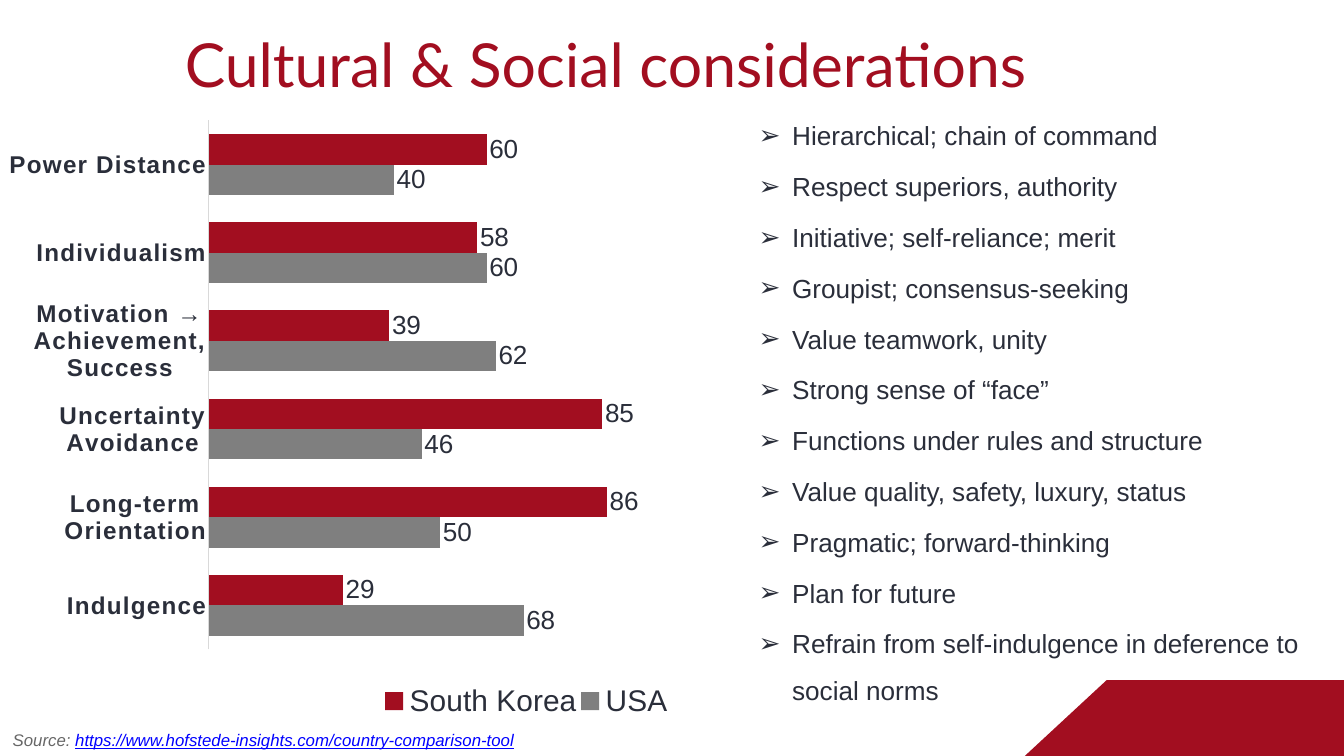
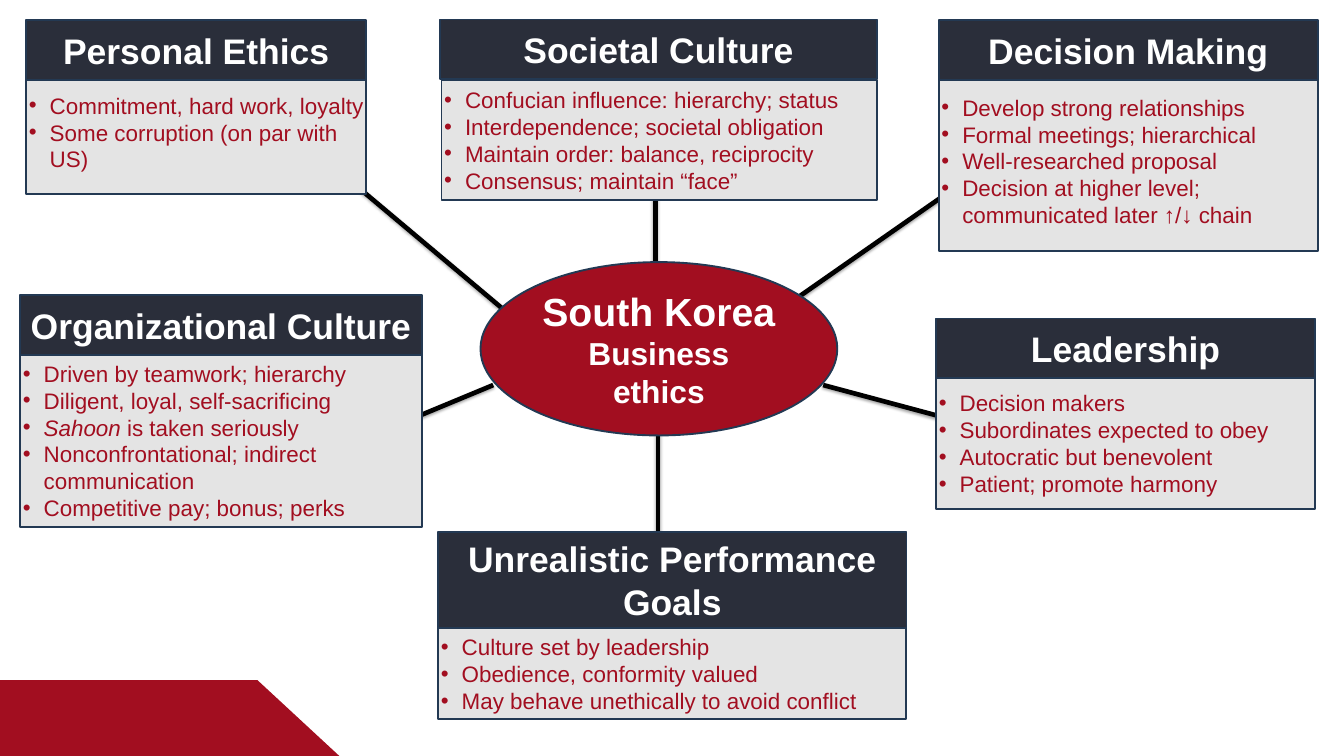
import lxml.etree
import pptx
import pptx.chart.data
import pptx.dml.color
import pptx.enum.chart
import pptx.enum.shapes
import pptx.enum.text
import pptx.oxml
import pptx.oxml.ns
import pptx.util

Inches = pptx.util.Inches
Pt = pptx.util.Pt
qn = pptx.oxml.ns.qn
RGB = pptx.dml.color.RGBColor.from_string


class Theme:
    red = RGB("A20E20")
    navy = RGB("2A2E3A")
    outline = RGB("233953")
    light = RGB("E4E4E4")
    gray = RGB("7F7F7F")
    axis = RGB("D9D9D9")
    link = RGB("0000FF")
    black = RGB("000000")
    white = RGB("FFFFFF")
    body_font = "Arial"
    title_font = "Lato"
    title_size = 65
    hub_size = 42
    hub_detail_size = 34
    header_size = 38
    legend_size = 32
    body_size = 28
    category_size = 26
    panel_size = 24
    source_size = 18


def write_text(shape, paragraphs, *, size, color, font=Theme.body_font, bold=None,
               align=None, anchor="TOP", margins=(0.1, 0.05), wrap=True, fit=False,
               bullet=None, indent=0, hanging=0, level=0, line_spacing=None, after=None):
    """Fill a shape; a paragraph is a string or a list of (text, run overrides)."""
    frame = shape.text_frame
    frame.word_wrap = wrap
    frame.vertical_anchor = getattr(pptx.enum.text.MSO_ANCHOR, anchor)
    frame.margin_left = frame.margin_right = Inches(margins[0])
    frame.margin_top = frame.margin_bottom = Inches(margins[1])
    if fit:
        frame.auto_size = pptx.enum.text.MSO_AUTO_SIZE.SHAPE_TO_FIT_TEXT
    for index, content in enumerate(paragraphs):
        paragraph = frame.add_paragraph() if index else frame.paragraphs[0]
        paragraph.level = level
        paragraph.alignment = align or pptx.enum.text.PP_ALIGN.LEFT
        if bullet:
            properties = paragraph._p.get_or_add_pPr()
            properties.set("marL", str(Inches(indent)))
            properties.set("indent", str(-Inches(hanging)))
            lxml.etree.SubElement(properties, qn("a:buFont")).set("typeface", Theme.body_font)
            lxml.etree.SubElement(properties, qn("a:buChar")).set("char", bullet)
        if line_spacing:
            paragraph.line_spacing = line_spacing
        if after:
            paragraph.space_after = Pt(after)
        for text, changes in [(content, {})] if isinstance(content, str) else content:
            run = paragraph.add_run()
            run.text = text
            run.font.name = font
            run.font.size = Pt(changes.get("size", size))
            run.font.bold = changes.get("bold", bold)
            run.font.italic = changes.get("italic")
            run.font.underline = changes.get("underline")
            run.font.color.rgb = changes.get("color", color)
            if "alpha" in changes:
                color_element = run._r.xpath(".//a:srgbClr")[0]
                alpha = lxml.etree.SubElement(color_element, qn("a:alpha"))
                alpha.set("val", str(changes["alpha"] * 1000))


def place_chart_part(element, position, target, **fractions):
    """Give a chart part a manual layout in fractions of the chart."""
    for old_layout in element.findall(qn("c:layout")):
        element.remove(old_layout)
    layout = lxml.etree.Element(qn("c:layout"))
    manual = lxml.etree.SubElement(layout, qn("c:manualLayout"))
    settings = {"xMode": "edge", "yMode": "edge", **fractions}
    if target:
        settings = {"layoutTarget": target, **settings}
    for name, value in settings.items():
        lxml.etree.SubElement(manual, qn(f"c:{name}")).set("val", str(value))
    element.insert(position, layout)


presentation = pptx.Presentation()
presentation.slide_width = Inches(20)
presentation.slide_height = Inches(11.25)
blank_layout = presentation.slide_layouts[6]
culture_slide = presentation.slides.add_slide(blank_layout)
ethics_slide = presentation.slides.add_slide(blank_layout)

# Corner bands
for slide, left in ((culture_slide, 15.25), (ethics_slide, -1.25)):
    corners = [(Inches(left + x), Inches(y)) for x, y in
               ((1.22, 10.12), (5.08, 10.12), (6.3, 11.25), (0, 11.25))]
    builder = slide.shapes.build_freeform(*corners[0], scale=1.0)
    builder.add_line_segments(corners[1:], close=True)
    band = builder.convert_to_shape()
    band.shadow.inherit = False
    band.fill.solid()
    band.fill.fore_color.rgb = Theme.red
    band.line.fill.background()

# Slide 1: cultural and social considerations
title = culture_slide.shapes.add_textbox(Inches(2.75), Inches(0.4), Inches(16.12), Inches(1.09))
write_text(title, ["Cultural & Social considerations"], size=Theme.title_size, color=Theme.red,
           font=Theme.title_font, margins=(0, 0), line_spacing=Pt(78), fit=True)

source = culture_slide.shapes.add_textbox(Inches(0.09), Inches(10.81), Inches(7.82), Inches(0.4))
write_text(source, [[
    ("Source: ", {"italic": True, "alpha": 60}),
    ("https://www.hofstede-insights.com/country-comparison-tool",
     {"italic": True, "underline": True, "color": Theme.link}),
]], size=Theme.source_size, color=Theme.black, wrap=False, fit=True)

chart_data = pptx.chart.data.CategoryChartData()
chart_data.categories = ["Indulgence", "Long-term Orientation", "Uncertainty Avoidance",
                         "Motivation → Achievement, Success", "Individualism", "Power Distance"]
chart_data.add_series("USA", (68, 50, 46, 62, 60, 40))
chart_data.add_series("South Korea", (29, 86, 85, 39, 58, 60))
chart = culture_slide.shapes.add_chart(
    pptx.enum.chart.XL_CHART_TYPE.BAR_CLUSTERED,
    Inches(0.14), Inches(1.41), Inches(9.86), Inches(9.6), chart_data).chart
chart.has_title = False
chart.has_legend = True
chart.legend.position = pptx.enum.chart.XL_LEGEND_POSITION.TOP
chart.legend.include_in_layout = False

plot = chart.plots[0]
plot.gap_width = 90
plot.overlap = 0
plot.vary_by_categories = False
chart_fonts = [(chart.legend.font, Theme.legend_size),
               (chart.category_axis.tick_labels.font, Theme.category_size)]
for series, color in zip(plot.series, (Theme.gray, Theme.red)):
    series.format.fill.solid()
    series.format.fill.fore_color.rgb = color
    labels = series.data_labels
    labels.show_value = True
    labels.position = pptx.enum.chart.XL_LABEL_POSITION.OUTSIDE_END
    chart_fonts.append((labels.font, Theme.body_size))
for font, size in chart_fonts:
    font.name = Theme.body_font
    font.size = Pt(size)
    font.color.rgb = Theme.navy
    font.bold = size == Theme.category_size

category_axis = chart.category_axis
category_axis.major_tick_mark = pptx.enum.chart.XL_TICK_MARK.NONE
category_axis.format.line.color.rgb = Theme.axis
category_axis.format.line.width = Pt(0.75)
category_axis._element.xpath(".//c:txPr//a:defRPr")[0].set("spc", "120")
value_axis = chart.value_axis
value_axis.minimum_scale = 0
value_axis.maximum_scale = 100
value_axis.has_major_gridlines = False
value_axis.visible = False
place_chart_part(chart._chartSpace.chart.plotArea, 0, "inner", x=0.3, y=0.04, w=0.7, h=0.82)
place_chart_part(chart.legend._element, 1, None, x=0.56, y=0.9, w=0.44, h=0.08)

observations = culture_slide.shapes.add_textbox(
    Inches(10.69), Inches(1.5), Inches(9.17), Inches(9.05))
write_text(observations, [
    "Hierarchical; chain of command",
    "Respect superiors, authority",
    "Initiative; self-reliance; merit",
    "Groupist; consensus-seeking",
    "Value teamwork, unity",
    "Strong sense of “face”",
    "Functions under rules and structure",
    "Value quality, safety, luxury, status",
    "Pragmatic; forward-thinking",
    "Plan for future",
    "Refrain from self-indulgence in deference to social norms",
], size=Theme.body_size, color=Theme.navy, bullet="➢", indent=1, hanging=0.5, level=1,
    line_spacing=1.5, after=4, fit=True)

# Slide 2: spokes, hub and topic panels
spokes = [
    (9.08, 5.94, 5.38, 2.83),
    (7.34, 5.73, 6.28, 6.17),
    (9.79, 6.45, 9.79, 7.92),
    (12.25, 5.73, 13.93, 6.18),
    (9.92, 5.79, 14.16, 2.83),
    (9.75, 5.62, 9.75, 2.57),
]
for ends in spokes:
    spoke = ethics_slide.shapes.add_connector(
        pptx.enum.shapes.MSO_CONNECTOR.STRAIGHT, *map(Inches, ends))
    spoke.line.color.rgb = Theme.black
    spoke.line.width = Pt(5)
    effects = lxml.etree.SubElement(spoke._element.spPr, qn("a:effectLst"))
    shadow = lxml.etree.SubElement(effects, qn("a:outerShdw"), blurRad=str(Pt(3.1)),
                                   dist=str(Pt(1.8)), dir="5400000", rotWithShape="0")
    shadow_color = lxml.etree.SubElement(shadow, qn("a:srgbClr"), val="000000")
    lxml.etree.SubElement(shadow_color, qn("a:alpha"), val="35000")

header_format = dict(size=Theme.header_size, color=Theme.white, bold=True, after=8,
                     align=pptx.enum.text.PP_ALIGN.CENTER, anchor="MIDDLE")
panel_format = dict(size=Theme.panel_size, color=Theme.red, bullet="•", indent=0.31,
                    hanging=0.31, anchor="MIDDLE", margins=(0.04, 0.05))
hub_format = dict(header_format, size=Theme.hub_size, after=None)

# Each topic: header text, header box, panel box, panel lines
topics = [
    ("Personal Ethics", (0.39, 0.3, 5.06, 0.89), (0.39, 1.04, 5.06, 1.85),
     ["Commitment, hard work, loyalty", "Some corruption (on par with US)"]),
    ("Societal Culture", (6.55, 0.29, 6.5, 0.89), (6.57, 1.19, 6.48, 1.78),
     ["Confucian influence: hierarchy; status", "Interdependence; societal obligation",
      "Maintain order: balance, reciprocity", "Consensus; maintain “face”"]),
    ("Decision Making", (13.97, 0.3, 5.64, 0.89), (13.97, 1.05, 5.64, 2.69),
     ["Develop strong relationships", "Formal meetings; hierarchical",
      "Well-researched proposal",
      [("Decision at higher level; communicated later ↑/", {}), ("↓", {"bold": True}),
       (" chain", {})]]),
    ("Organizational Culture", (0.3, 4.39, 5.98, 0.89), (0.3, 5.27, 5.98, 2.57),
     ["Driven by teamwork; hierarchy", "Diligent, loyal, self-sacrificing",
      [("Sahoon", {"italic": True}), (" is taken seriously", {})],
      "Nonconfrontational; indirect communication", "Competitive pay; bonus; perks"]),
    ("Leadership", (13.93, 4.74, 5.64, 0.89), (13.93, 5.62, 5.64, 1.95),
     ["Decision makers", "Subordinates expected to obey", "Autocratic but benevolent",
      "Patient; promote harmony"]),
    ("Unrealistic Performance Goals", (6.52, 7.92, 6.97, 1.42), (6.52, 9.35, 6.96, 1.35),
     ["Culture set by leadership", "Obedience, conformity valued",
      "May behave unethically to avoid conflict"]),
]
preset = pptx.enum.shapes.MSO_SHAPE
hub_lines = ["South Korea", [("Business ethics", {"size": Theme.hub_detail_size})]]
blocks = [(preset.FLOWCHART_CONNECTOR, (7.15, 3.9, 5.31, 2.58), Theme.red, hub_lines, hub_format)]
for header, header_box, panel_box, lines in topics:
    blocks.append((preset.RECTANGLE, panel_box, Theme.light, lines, panel_format))
    blocks.append((preset.RECTANGLE, header_box, Theme.navy, [header], header_format))
for kind, box, fill, lines, text_format in blocks:
    block = ethics_slide.shapes.add_shape(kind, *map(Inches, box))
    block.shadow.inherit = False
    block.fill.solid()
    block.fill.fore_color.rgb = fill
    block.line.color.rgb = Theme.outline
    block.line.width = Pt(2)
    write_text(block, lines, **text_format)

presentation.save("out.pptx")
